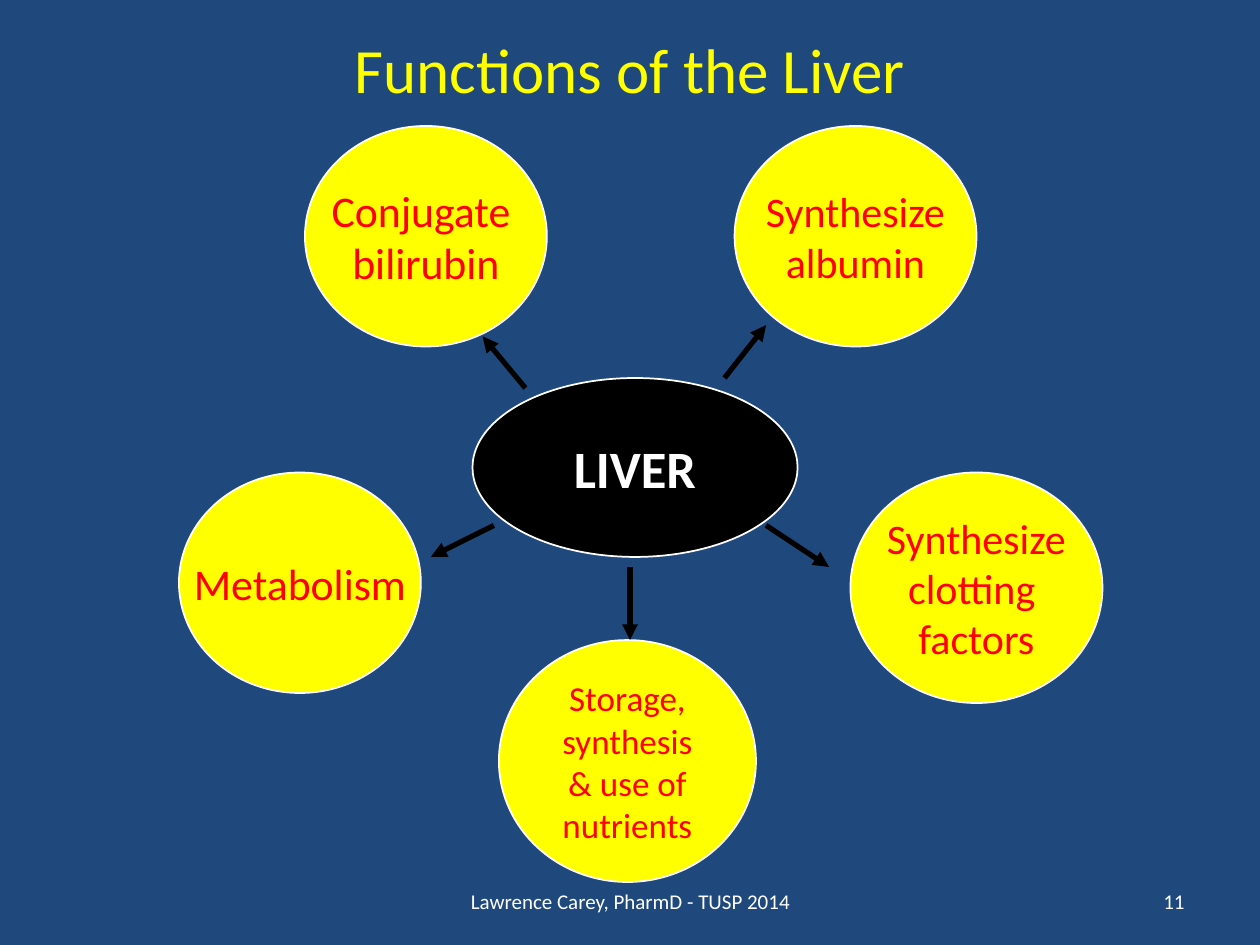
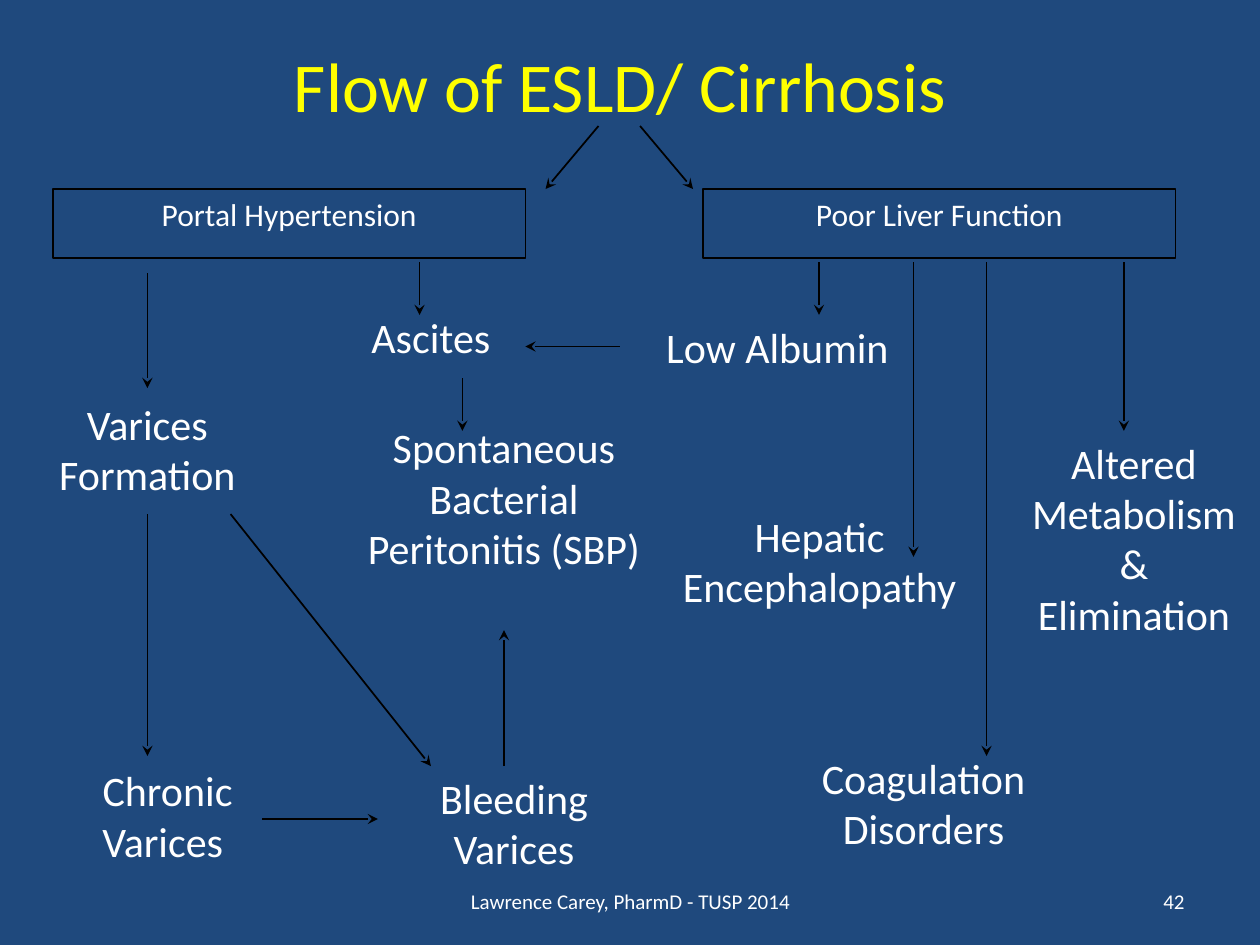
from dataclasses import dataclass

from lxml import etree
from pptx import Presentation
from pptx.dml.color import RGBColor
from pptx.enum.shapes import MSO_CONNECTOR, MSO_SHAPE
from pptx.enum.text import MSO_ANCHOR, MSO_AUTO_SIZE, PP_ALIGN
from pptx.oxml.ns import qn
from pptx.util import Inches, Pt

CENTER, RIGHT = PP_ALIGN.CENTER, PP_ALIGN.RIGHT
TOP, MIDDLE = MSO_ANCHOR.TOP, MSO_ANCHOR.MIDDLE
OVAL, RECTANGLE = MSO_SHAPE.OVAL, MSO_SHAPE.RECTANGLE
STRAIGHT = MSO_CONNECTOR.STRAIGHT
TITLE_ONLY = 5


@dataclass(frozen=True)
class Theme:
    font: str = "Calibri"
    background: str = "1F497D"
    yellow: str = "FFFF00"
    red: str = "FF0000"
    white: str = "FFFFFF"
    black: str = "000000"
    hub_size: int = 30
    label_size: int = 24
    heading_size: int = 18
    footer_size: int = 12
    thin: int = 1
    thick: int = 3


THEME = Theme()

FOOTER = "Lawrence Carey, PharmD - TUSP 2014"
FOOTER_AREA = (3.42, 6.95, 3.17, 0.4)
NUMBER_AREA = (7.17, 6.95, 2.33, 0.4)

LIVER_AREA = (3.75, 3, 2.58, 1.42)

# paragraphs, area (left, top, width, height), type size, wrap
LIVER_FUNCTIONS = [
    (["Conjugate ", "bilirubin"], (2.42, 1, 1.92, 1.75), 25, False),
    (["Metabolism"], (1.42, 3.75, 1.92, 1.75), 25, False),
    (["Storage, synthesis & use of", "nutrients"], (3.96, 5.08, 2.04, 1.92), 20, True),
    (["Synthesize", "clotting ", "factors"], (6.75, 3.75, 2, 1.83), 24, False),
    (["Synthesize", "albumin"], (5.83, 1, 1.92, 1.75), 24, False),
]

# start and end points
FUNCTION_ARROWS = [
    ((4.17, 3.08), (3.83, 2.67)),
    ((5.75, 3), (6.08, 2.58)),
    ((3.92, 4.17), (3.42, 4.42)),
    ((5, 4.5), (5, 5.08)),
    ((6.08, 4.17), (6.58, 4.5)),
]

CAUSE_TOP, CAUSE_WIDTH, CAUSE_HEIGHT = 1.5, 3.75, 0.55
CAUSES = [("Portal Hypertension", 0.42), ("Poor Liver Function", 5.58)]

COMPLICATIONS = [
    ("Varices Formation", (0.17, 3.11, 2, 0.9)),
    ("Ascites", (2.17, 2.42, 2.5, 0.5)),
    ("Spontaneous Bacterial Peritonitis (SBP)", (2.75, 3.3, 2.5, 1.7)),
    ("Chronic Varices ", (0.33, 6.02, 2, 0.9)),
    ("Bleeding Varices", (3.08, 6.08, 2, 0.9)),
    ("Coagulation Disorders", (6.08, 5.92, 2.5, 0.9)),
    ("Hepatic Encephalopathy", (5.17, 4, 2.67, 0.9)),
    ("Low Albumin", (4.92, 2.5, 2.5, 0.5)),
    ("Altered Metabolism & Elimination", (8, 3.42, 2, 1.7)),
]

# x of each arrow that drops from a cause box, with the y of its head
CAUSE_DROPS = [(3.33, 2.5), (6.5, 2.5), (7.25, 4.42), (7.83, 6), (8.92, 3.42)]
DROP_TOP = 2.08
FLOW_ARROWS = [
    ((4.75, 1), (4.33, 1.5)),
    ((5.08, 1), (5.5, 1.5)),
    ((1.17, 2.17), (1.17, 3.08)),
    ((1.17, 4.08), (1.17, 6)),
    ((1.83, 4.08), (3.42, 6.08)),
    ((2.08, 6.5), (3, 6.5)),
    ((3.67, 3), (3.67, 3.42)),
    ((4.92, 2.75), (4.17, 2.75)),
    ((4, 6.08), (4, 5)),
] + [((x, DROP_TOP), (x, bottom)) for x, bottom in CAUSE_DROPS]


def color(code):
    return RGBColor.from_string(code)


def inches(values):
    return [Inches(value) for value in values]


def write(shape, paragraphs, size, ink=THEME.white, align=CENTER, anchor=TOP,
          wrap=True, bold=False):
    frame = shape.text_frame
    frame.word_wrap = wrap
    frame.auto_size = MSO_AUTO_SIZE.NONE
    frame.vertical_anchor = anchor
    for index, text in enumerate(paragraphs):
        para = frame.add_paragraph() if index else frame.paragraphs[0]
        para.alignment = align
        span = para.add_run()
        span.text = text
        span.font.name = THEME.font
        span.font.size = Pt(size)
        span.font.bold = bold
        span.font.color.rgb = color(ink)


def add_label(page, text, area, size, **style):
    write(page.shapes.add_textbox(*inches(area)), [text], size, **style)


def add_outlined(page, kind, area, outline, fill=None):
    shape = page.shapes.add_shape(kind, *inches(area))
    shape.shadow.inherit = False
    if fill:
        shape.fill.solid()
        shape.fill.fore_color.rgb = color(fill)
    else:
        shape.fill.background()
    shape.line.color.rgb = color(outline)
    shape.line.width = Pt(THEME.thin)
    return shape


def add_arrows(page, arrows, width, head):
    for start, end in arrows:
        arrow = page.shapes.add_connector(STRAIGHT, *inches(start + end))
        arrow.line.color.rgb = color(THEME.black)
        arrow.line.width = Pt(width)
        outline = arrow.line._get_or_add_ln()
        etree.SubElement(outline, qn("a:tailEnd"), type=head)
        etree.SubElement(arrow._element.spPr, qn("a:effectLst"))


def add_page(deck, title, title_area, title_size, number):
    """Add a slide with its title, footer and slide number."""
    page = deck.slides.add_slide(deck.slide_layouts[TITLE_ONLY])
    heading = page.shapes.title
    heading.left, heading.top, heading.width, heading.height = inches(title_area)
    write(heading, [title], title_size, ink=THEME.yellow, anchor=MIDDLE)
    add_label(page, FOOTER, FOOTER_AREA, THEME.footer_size, anchor=MIDDLE)
    add_label(page, number, NUMBER_AREA, THEME.footer_size, align=RIGHT, anchor=MIDDLE)
    return page


def build_functions(deck):
    page = add_page(deck, "Functions of the Liver", (0.5, 0.17, 9, 0.75), 36, "11")
    liver = add_outlined(page, OVAL, LIVER_AREA, THEME.white, THEME.black)
    write(liver, ["LIVER"], THEME.hub_size, anchor=MIDDLE, wrap=False, bold=True)
    for paragraphs, area, size, wrap in LIVER_FUNCTIONS:
        circle = add_outlined(page, OVAL, area, THEME.white, THEME.yellow)
        write(circle, paragraphs, size, ink=THEME.red, anchor=MIDDLE, wrap=wrap)
    add_arrows(page, FUNCTION_ARROWS, THEME.thick, "triangle")


def build_flow(deck):
    page = add_page(deck, "Flow of ESLD/ Cirrhosis", (0.42, 0.17, 9, 1), 40, "42")
    for text, left in CAUSES:
        area = (left, CAUSE_TOP, CAUSE_WIDTH, CAUSE_HEIGHT)
        box = add_outlined(page, RECTANGLE, area, THEME.black)
        write(box, [text], THEME.heading_size)
    for text, area in COMPLICATIONS:
        add_label(page, text, area, THEME.label_size)
    add_arrows(page, FLOW_ARROWS, THEME.thin, "stealth")


def main():
    deck = Presentation()
    deck.slide_width, deck.slide_height = Inches(10), Inches(7.5)
    backdrop = deck.slide_master.background.fill
    backdrop.solid()
    backdrop.fore_color.rgb = color(THEME.background)
    build_functions(deck)
    build_flow(deck)
    deck.save("out.pptx")


if __name__ == "__main__":
    main()
